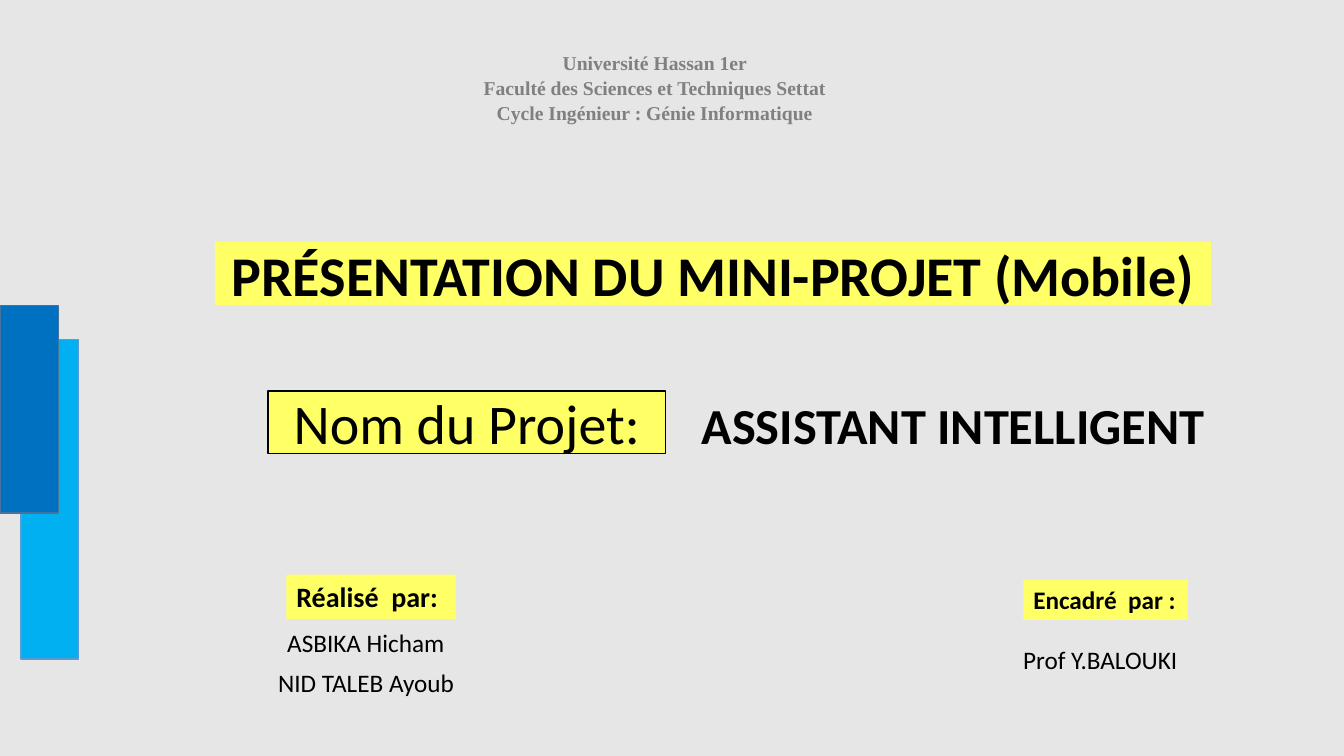
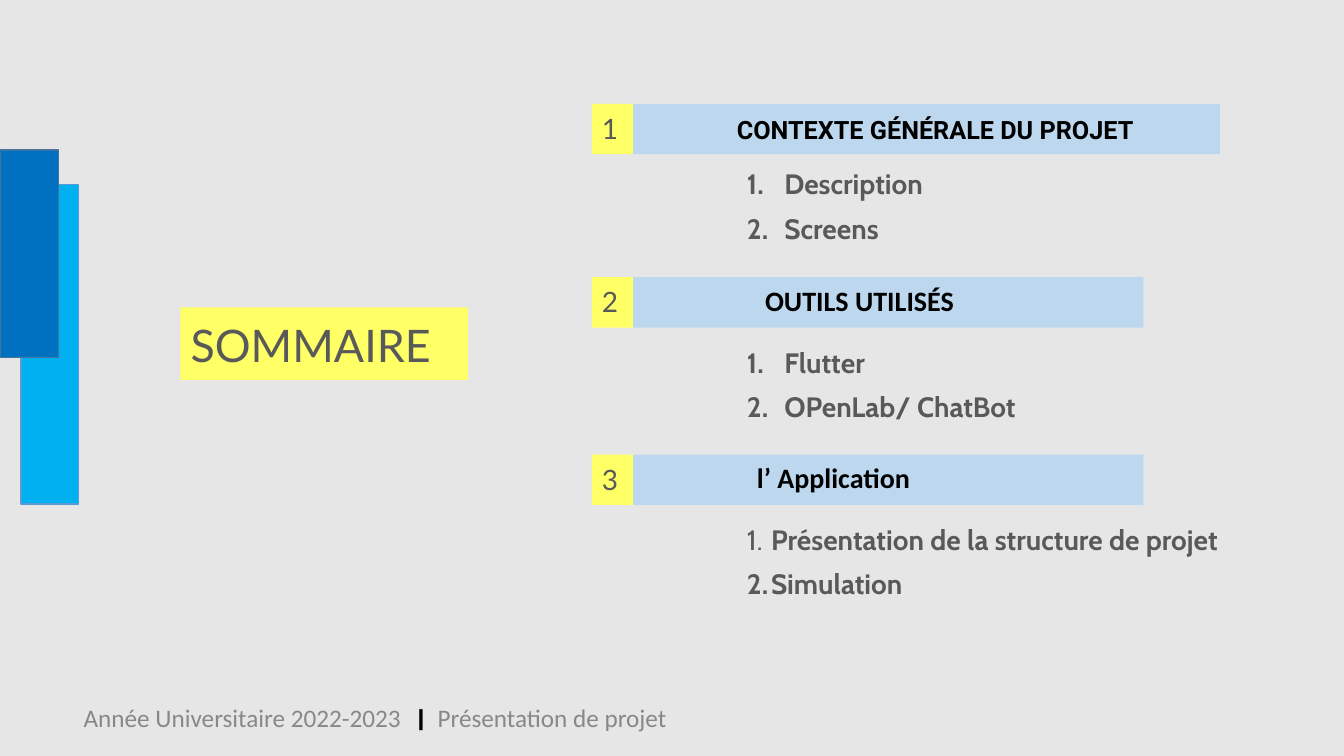
from dataclasses import dataclass

from lxml.etree import SubElement
from pptx import Presentation
from pptx.dml.color import RGBColor
from pptx.enum.shapes import MSO_SHAPE
from pptx.enum.text import MSO_ANCHOR, MSO_AUTO_SIZE, PP_ALIGN
from pptx.oxml.ns import qn
from pptx.util import Inches, Pt


@dataclass(frozen=True)
class Theme:
    background: str = "E7E6E6"
    highlight: str = "FFFF66"
    bar: str = "BDD7EE"
    light_band: str = "00B0F0"
    light_edge: str = "5B9BD5"
    dark_band: str = "0070C0"
    dark_edge: str = "43739E"
    ink: str = "000000"
    soft: str = "595959"
    institution: str = "808080"
    footer: str = "888888"
    body_font: str = "Calibri"
    heading_font: str = "Lato"
    item_font: str = "Cabin"
    hero: int = 40
    name: int = 36
    heading: int = 32
    label: int = 20
    small: int = 18
    header: int = 14


THEME = Theme()
PADDING = (0.1, 0.05)
AGENDA_PADDING = (0.1, 0.1)
FLUSH = (0, 0.01)

INSTITUTION = [
    "Université Hassan 1er",
    "Faculté des Sciences et Techniques Settat",
    "Cycle Ingénieur : Génie Informatique",
]
COVER_TITLE = "PRÉSENTATION DU MINI-PROJET (Mobile)"
PROJECT_LABEL, PROJECT_NAME = "Nom du Projet:", "ASSISTANT INTELLIGENT"
# text, position, size, bold, highlighted
CREDITS = [
    ("Réalisé  par:", (2.84, 5.7, 1.68, 0.44), THEME.label, True, True),
    ("ASBIKA Hicham", (2.75, 6.17, 1.82, 0.4), THEME.small, False, False),
    ("NID TALEB Ayoub", (2.66, 6.57, 2.01, 0.4), THEME.small, False, False),
    ("Encadré  par :", (10.15, 5.75, 1.63, 0.4), THEME.small, True, True),
    ("Prof Y.BALOUKI", (10.05, 6.34, 1.8, 0.4), THEME.small, False, False),
]
AGENDA_TITLE = "SOMMAIRE"
SECTIONS = [
    dict(title="CONTEXTE GÉNÉRALE DU PROJET", items=["Description", "Screens"],
         top=1.03, width=5.82, indent=0.93, items_gap=0.55, hang=0.37,
         font="Roboto", size=THEME.small, leading=0.7, light_numbers=()),
    dict(title="OUTILS UTILISÉS", items=["Flutter", "OPenLab/ ChatBot"],
         top=2.75, width=5.06, indent=1.21, items_gap=0.6, hang=0.37,
         font=THEME.body_font, size=THEME.label, leading=1.0, light_numbers=()),
    dict(title="l’ Application",
         items=["Présentation de la structure de projet", "Simulation"],
         top=4.51, width=5.06, indent=1.13, items_gap=0.6, hang=0.24,
         font=THEME.body_font, size=THEME.label, leading=0.9, light_numbers=(1,)),
]
NUMBER_LEFT, NUMBER_WIDTH, BAR_HEIGHT = 5.87, 0.41, 0.5
ITEMS_LEFT, ITEMS_WIDTH, ITEMS_HEIGHT = 7.31, 5.78, 0.94
FOOTER = ["Année Universitaire 2022-2023", "|", "Présentation de projet"]
FOOTER_TABS = (3.32, 3.51)


def rgb(value):
    return RGBColor.from_string(value)


def place(shape, box):
    shape.left, shape.top, shape.width, shape.height = map(Inches, box)


def paint(shape, fill, edge=None):
    shape.fill.solid()
    shape.fill.fore_color.rgb = rgb(fill)
    if edge:
        shape.line.color.rgb = rgb(edge)
        shape.line.width = Pt(1)
    else:
        shape.line.fill.background()


def add_box(slide, box, fill=None, edge=None):
    if fill is None:
        return slide.shapes.add_textbox(*map(Inches, box))
    shape = slide.shapes.add_shape(MSO_SHAPE.RECTANGLE, *map(Inches, box))
    shape.shadow.inherit = False
    paint(shape, fill, edge)
    return shape


def style(font, size, color, family, bold=False):
    font.size, font.name, font.bold = Pt(size), family, bold
    font.color.rgb = rgb(color)


def set_frame(shape, padding=PADDING, anchor=MSO_ANCHOR.TOP, wrap=True):
    frame = shape.text_frame
    frame.auto_size = MSO_AUTO_SIZE.NONE
    frame.word_wrap = wrap
    frame.vertical_anchor = anchor
    frame.margin_left = frame.margin_right = Inches(padding[0])
    frame.margin_top = frame.margin_bottom = Inches(padding[1])
    return frame


def set_indent(paragraph, margin, first_line=0):
    properties = paragraph._p.get_or_add_pPr()
    properties.set("marL", str(Inches(margin)))
    properties.set("indent", str(Inches(first_line)))


def set_tabs(paragraph, stops):
    tabs = SubElement(paragraph._p.get_or_add_pPr(), qn("a:tabLst"))
    for stop in stops:
        SubElement(tabs, qn("a:tab"), pos=str(Inches(stop)), algn="l")


def write(shape, text, size, color=THEME.ink, family=THEME.body_font, bold=False,
          align=PP_ALIGN.LEFT, leading=1.0, indent=0, **frame_options):
    """Fill a shape with one uniformly styled paragraph."""
    paragraph = set_frame(shape, **frame_options).paragraphs[0]
    paragraph.text = text
    paragraph.alignment = align
    paragraph.line_spacing = leading
    set_indent(paragraph, indent)
    style(paragraph.font, size, color, family, bold)


def add_side_bands(slide, top):
    add_box(slide, (0.21, top + 0.34, 0.57, 3.17), THEME.light_band, THEME.light_edge)
    add_box(slide, (0, top, 0.58, 2.06), THEME.dark_band, THEME.dark_edge)


def add_titled_slide(deck, title, box, bands_top, **text_options):
    slide = deck.slides.add_slide(deck.slide_layouts[5])
    place(slide.shapes.title, box)
    paint(slide.shapes.title, THEME.highlight)
    write(slide.shapes.title, title, **text_options)
    add_side_bands(slide, bands_top)
    return slide


def add_institution(slide):
    frame = set_frame(add_box(slide, (4.77, 0.5, 3.45, 0.72)), FLUSH)
    for index, line in enumerate(INSTITUTION):
        paragraph = frame.add_paragraph() if index else frame.paragraphs[0]
        paragraph.text = line
        paragraph.alignment = PP_ALIGN.CENTER
        paragraph.space_before = Pt(1)
        style(paragraph.font, THEME.header, THEME.institution, "Times New Roman", True)


def add_section(slide, number, section):
    top = section["top"]
    agenda_frame = dict(padding=AGENDA_PADDING, anchor=MSO_ANCHOR.BOTTOM)
    write(add_box(slide, (NUMBER_LEFT, top, NUMBER_WIDTH, BAR_HEIGHT), THEME.highlight),
          str(number), THEME.label, THEME.soft, THEME.heading_font,
          leading=0.7, **agenda_frame)
    bar_box = (NUMBER_LEFT + NUMBER_WIDTH, top, section["width"], BAR_HEIGHT)
    write(add_box(slide, bar_box, THEME.bar), section["title"], section["size"],
          family=section["font"], bold=True, leading=section["leading"],
          indent=section["indent"], **agenda_frame)

    items_box = (ITEMS_LEFT, top + section["items_gap"], ITEMS_WIDTH, ITEMS_HEIGHT)
    frame = set_frame(add_box(slide, items_box), **agenda_frame)
    for index, item in enumerate(section["items"], 1):
        paragraph = frame.paragraphs[0] if index == 1 else frame.add_paragraph()
        number_run = paragraph.add_run()
        number_run.text = f"{index}."
        paragraph.add_run().text = f"\t{item}"
        paragraph.line_spacing = 0.7
        paragraph.space_before = Pt(15 if index > 1 else 0)
        set_indent(paragraph, section["hang"], -section["hang"])
        style(paragraph.font, THEME.label, THEME.soft, THEME.item_font, True)
        if index in section["light_numbers"]:
            number_run.font.bold = False


def add_footer(slide):
    frame = set_frame(add_box(slide, (0.83, 6.96, 5.81, 0.32)), FLUSH)
    paragraph = frame.paragraphs[0]
    set_tabs(paragraph, FOOTER_TABS)
    style(paragraph.font, THEME.small, THEME.footer, THEME.body_font)
    for index, part in enumerate(FOOTER):
        run = paragraph.add_run()
        run.text = f"\t{part}" if index else part
        if part == "|":
            style(run.font, THEME.small, THEME.ink, "League Spartan", True)


def build_cover(deck):
    centred = dict(align=PP_ALIGN.CENTER, anchor=MSO_ANCHOR.MIDDLE)
    slide = add_titled_slide(deck, COVER_TITLE, (2.13, 2.4, 9.88, 0.63), 3.03,
                             size=THEME.hero, bold=True, **centred)
    add_institution(slide)
    write(add_box(slide, (2.66, 3.88, 3.94, 0.62), THEME.highlight, THEME.ink),
          PROJECT_LABEL, THEME.hero, **centred)
    write(add_box(slide, (6.86, 3.86, 5.25, 0.71)),
          PROJECT_NAME, THEME.name, bold=True, wrap=False)
    for text, box, size, bold, highlighted in CREDITS:
        fill = THEME.highlight if highlighted else None
        write(add_box(slide, box, fill), text, size, bold=bold, wrap=False)


def build_agenda(deck):
    slide = add_titled_slide(deck, AGENDA_TITLE, (1.79, 3.05, 2.85, 0.72), 1.49,
                             size=THEME.heading, color=THEME.soft,
                             family=THEME.heading_font, leading=0.7,
                             padding=AGENDA_PADDING, anchor=MSO_ANCHOR.BOTTOM)
    for number, section in enumerate(SECTIONS, 1):
        add_section(slide, number, section)
    add_footer(slide)


def main():
    deck = Presentation()
    deck.slide_width, deck.slide_height = Inches(13.33), Inches(7.5)
    backdrop = deck.slide_master.background.fill
    backdrop.solid()
    backdrop.fore_color.rgb = rgb(THEME.background)
    build_cover(deck)
    build_agenda(deck)
    deck.save("out.pptx")


if __name__ == "__main__":
    main()
